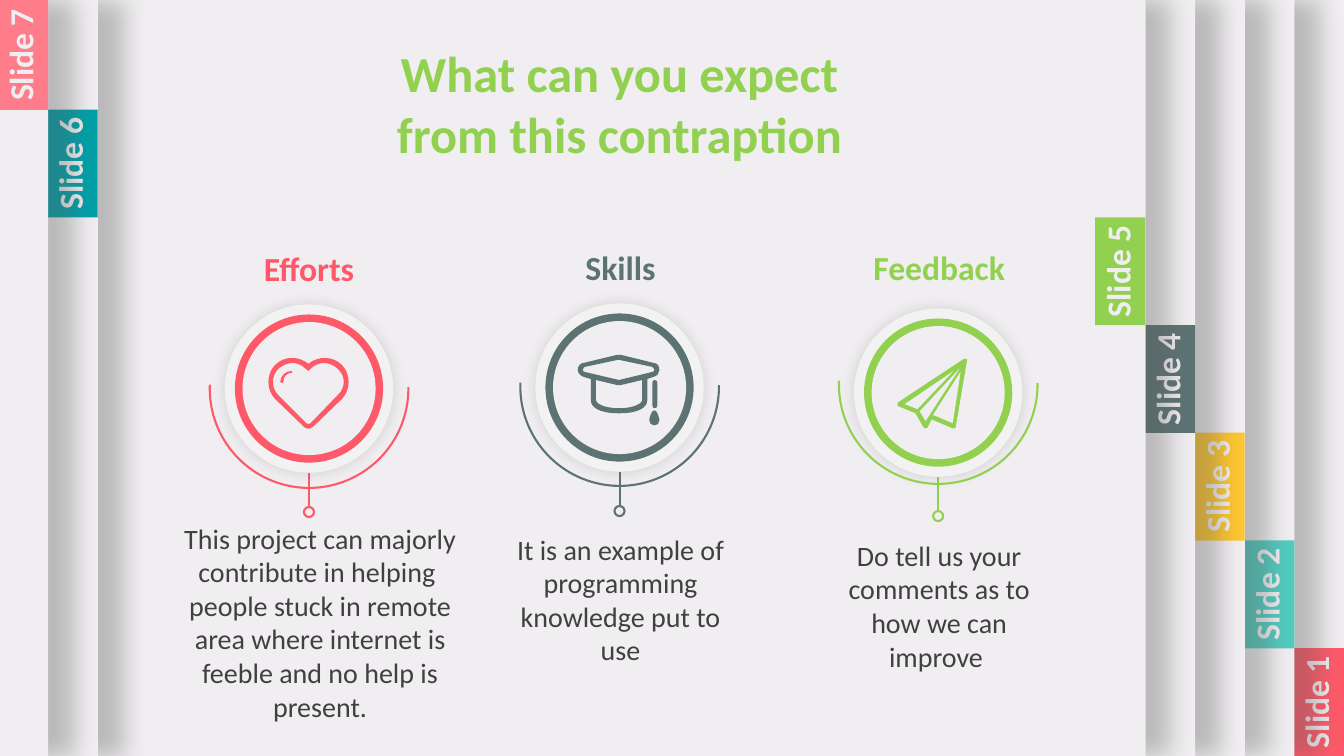
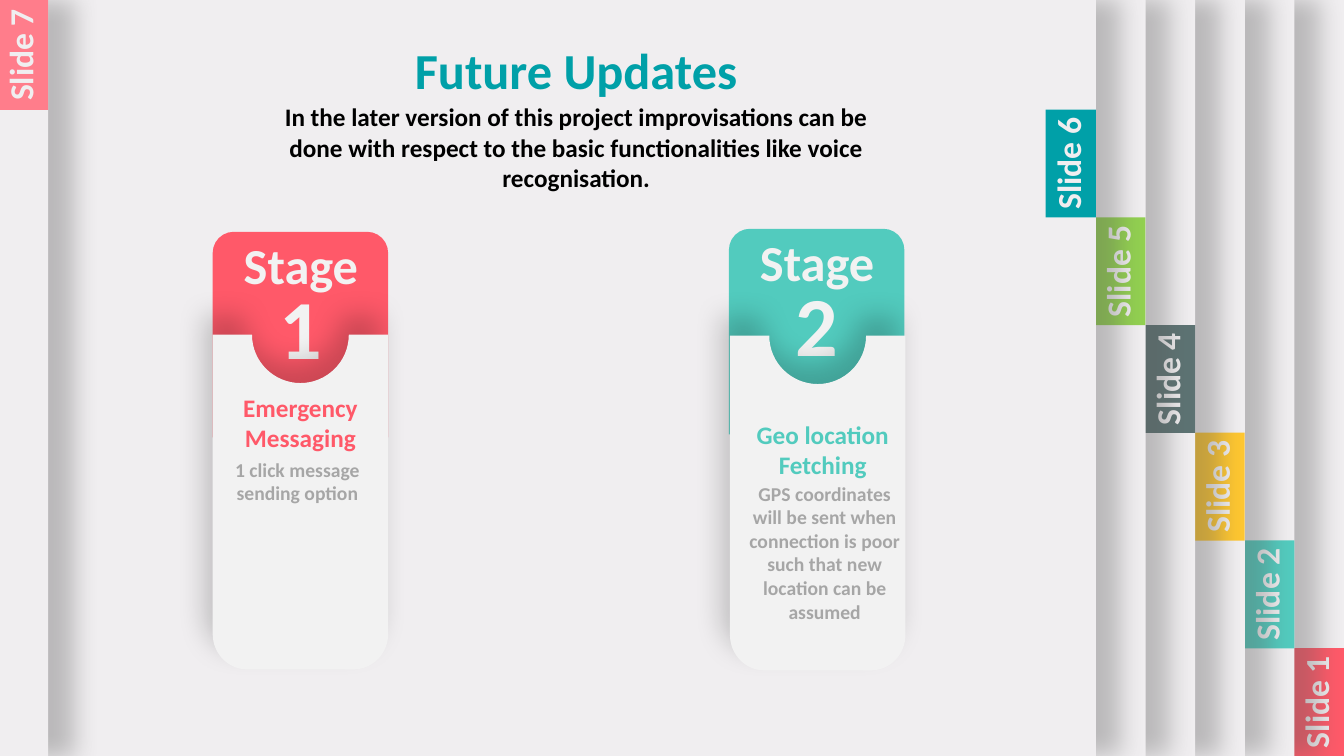
from dataclasses import dataclass

from lxml import etree
from pptx import Presentation
from pptx.dml.color import RGBColor
from pptx.enum.shapes import MSO_CONNECTOR, MSO_SHAPE
from pptx.enum.text import MSO_ANCHOR, MSO_AUTO_SIZE, PP_ALIGN
from pptx.oxml.ns import qn
from pptx.util import Inches, Pt

RECT, OVAL, ARC = MSO_SHAPE.RECTANGLE, MSO_SHAPE.OVAL, MSO_SHAPE.ARC
ROUND_TOP = MSO_SHAPE.ROUND_2_SAME_RECTANGLE
STRAIGHT = MSO_CONNECTOR.STRAIGHT
CENTER, TOP = PP_ALIGN.CENTER, MSO_ANCHOR.TOP
NO_FIT, GROW = MSO_AUTO_SIZE.NONE, MSO_AUTO_SIZE.SHAPE_TO_FIT_TEXT


@dataclass(frozen=True)
class Theme:
    font: str = "Calibri"
    paper: str = "F0EEF0"
    card: str = "F2F2F2"
    red: str = "FF5969"
    pink: str = "FF7D8B"
    mint: str = "52CBBE"
    yellow: str = "FEC630"
    slate: str = "5D7373"
    green: str = "92D050"
    teal: str = "00A0A8"
    black: str = "000000"
    shade: str = "595959"
    body: str = "404040"
    muted: str = "A6A6A6"
    number_size: int = 60
    title_size: int = 36
    heading_size: int = 24
    body_size: int = 20
    lead_size: int = 18
    note_size: int = 14
    line: float = 1.5


T = Theme()
SLIDE_W, SLIDE_H = 13.33, 7.5

# Tabs: the first ones sit at the right, the rest are turned over to the left
TAB_COLORS = [T.red, T.mint, T.yellow, T.slate, T.green, T.teal, T.pink]
TAB_W, TAB_H = 0.5, 1.07
TAB_STEP_X = (SLIDE_W - 10.87) / 5
TAB_STEP_Y = (SLIDE_H - 1.09) / 6
PANEL_W, TURNED_SHIFT = 13.65, 9.9

# Shadows: colour, opacity %, blur pt, distance pt, direction in degrees
PANEL_SHADOW = (T.shade, 35, 17, 18, 0)
DISC_SHADOW = (T.shade, 20, 10, 0, 0)
CARD_SHADOW = (T.black, 20, 20, 15, 247)

# Outlines in hundredths of an inch: M move, L line, C cubic curve, Z close
HEART = ["""
M 112 90 L 85 118 C 84 119 82 119 81 118 L 53 90 C 46 83 46 71 53 64
C 61 57 72 56 79 63 L 83 66 L 86 63 C 94 56 105 57 112 64 C 120 71 120 83 112 90 Z
M 116 60 C 107 51 92 51 83 59 C 73 51 59 51 50 60 C 41 69 41 85 50 94 L 78 121
C 80 124 85 124 88 121 L 116 94 C 125 85 125 69 116 60 Z""", """
M 66 66 C 60 66 55 71 55 77 C 55 77 56 78 57 78 C 57 78 58 77 58 77
C 58 72 61 68 66 68 C 67 68 67 68 67 67 C 67 66 67 66 66 66 Z"""]
GRADUATE_CAP = ["""
M 83 76 L 49 68 C 48 68 47 67 47 66 C 47 65 48 64 49 63 L 82 56 L 83 56
L 116 63 C 117 64 118 65 118 66 C 118 67 117 68 116 68 Z
M 106 96 C 106 99 98 104 83 104 C 68 104 60 99 60 96 L 60 76 L 81 81
C 82 81 84 81 85 81 L 106 76 Z
M 123 66 C 123 62 121 59 117 59 L 85 51 C 84 51 82 51 81 51 L 48 59
C 45 59 42 62 42 66 C 42 69 45 72 48 73 L 55 75 L 55 96 C 55 103 63 109 83 109
C 103 109 111 103 111 96 L 111 75 L 117 73 C 121 72 123 69 123 66 Z""", """
M 116 79 L 116 101 C 116 103 117 104 118 104 C 120 104 121 103 121 101
L 121 79 C 121 77 120 76 118 76 C 117 76 116 77 116 79 Z""", """
M 118 106 C 115 106 113 114 113 116 C 113 119 115 121 118 121
C 121 121 123 119 123 116 C 123 114 121 106 118 106 Z"""]
PAPER_PLANE = ["""
M 98 114 L 79 106 L 78 106 L 106 62 Z
M 65 102 L 106 58 L 71 112 Z
M 50 95 L 100 61 L 63 100 Z
M 111 50 L 109 50 L 44 93 C 43 94 43 95 43 95 C 43 96 44 97 44 97 L 61 104
L 69 118 C 70 118 70 119 71 119 C 72 119 73 118 73 118 L 77 110 L 98 119
C 99 119 100 119 100 119 C 101 118 101 118 101 117 L 112 52 C 112 51 112 50 111 50 Z"""]
CARD_BODY = """
M 0 0 L 39 0 C 39 27 61 48 87 48 C 113 48 135 27 135 0 L 174 0 L 174 297
C 174 316 159 332 140 332 L 34 332 C 15 332 0 316 0 297 Z"""

EXPECT = {
    "title": "What can you expect from this contraption",
    "title_box": (3.5, 0.37, 5.29, 1.31),
    "color": T.green,
    "turned": (6, 7),
}
PILLARS = [
    {"heading": "Efforts", "heading_box": (1.78, 2.41, 2.57, 0.5), "color": T.red,
     "disc": (2.23, 3.02), "arc_top": 2.87, "icon": HEART,
     "text": "This project can majorly contribute in helping  people stuck in remote "
             "area where internet is feeble and no help is present.",
     "text_box": (1.6, 5.12, 3.15, 2.12)},
    {"heading": "Skills", "heading_box": (4.99, 2.4, 2.33, 0.5), "color": T.slate,
     "disc": (5.31, 3.01), "arc_top": 2.85, "icon": GRADUATE_CAP,
     "text": "It is an example of programming knowledge put to use",
     "text_box": (4.89, 5.23, 2.53, 1.45)},
    {"heading": "Feedback", "heading_box": (8.23, 2.4, 2.17, 0.5), "color": T.green,
     "disc": (8.47, 3.06), "arc_top": 2.83, "icon": PAPER_PLANE,
     "text": "Do tell us your comments as to how we can improve ",
     "text_box": (8.05, 5.29, 2.53, 1.11)},
]

UPDATES = {
    "title": "Future Updates",
    "title_box": (3.07, 0.34, 5.29, 0.71),
    "color": T.teal,
    "turned": (7,),
}
LEAD = ("In the later version of this project improvisations can be done with respect "
        "to the basic functionalities like voice recognisation.")
LEAD_BOX = (2.71, 0.96, 6.01, 1.01)
STAGES = [
    {"number": "1", "color": T.red, "band": (2.11, 2.3), "body": (2.11, 3.32),
     "heading": "Emergency Messaging", "heading_box": (2.11, 3.84, 1.74, 0.71),
     "note": "1 click message sending option", "note_box": (2.08, 4.49, 1.74, 0.57)},
    {"number": "2", "color": T.mint, "band": (7.23, 2.27), "body": (7.24, 3.33),
     "heading": "Geo location Fetching", "heading_box": (7.29, 4.11, 1.74, 0.71),
     "note": "GPS coordinates will be sent when connection is poor such that new "
             "location can be assumed", "note_box": (7.31, 4.73, 1.74, 1.51)},
]


def rgb(color):
    return RGBColor.from_string(color)


def add_shadow(shape, color, opacity, blur, distance, direction):
    """Put an outer shadow into the shape's effect list."""
    effects = shape._element.spPr.find(qn("a:effectLst"))
    outer = etree.SubElement(effects, qn("a:outerShdw"), blurRad=str(Pt(blur)),
                             dist=str(Pt(distance)), dir=str(direction * 60000),
                             algn="ctr", rotWithShape="0")
    clr = etree.SubElement(outer, qn("a:srgbClr"), val=color)
    etree.SubElement(clr, qn("a:alpha"), val=str(opacity * 1000))


def paint(shape, fill=None, line=None, shadow=None):
    shape.shadow.inherit = False
    if fill:
        shape.fill.solid()
        shape.fill.fore_color.rgb = rgb(fill)
    else:
        shape.fill.background()
    if line:
        shape.line.color.rgb = rgb(line)
        shape.line.width = Pt(T.line)
    else:
        shape.line.fill.background()
    if shadow:
        add_shadow(shape, *shadow)
    return shape


def add_preset(s, kind, box, **look):
    return paint(s.shapes.add_shape(kind, *map(Inches, box)), **look)


def bend(shape, curve_starts):
    """Turn each run of three line segments listed into one cubic curve."""
    outline = next(shape._element.iter(qn("a:path")))
    lines = outline.findall(qn("a:lnTo"))
    for start in curve_starts:
        curve = etree.Element(qn("a:cubicBezTo"))
        lines[start].addprevious(curve)
        for line in lines[start:start + 3]:
            curve.append(line[0])
            outline.remove(line)


def add_outline(s, outline, origin, **look):
    """Draw an outline text (M, L, C, Z) as one freeform placed at origin."""
    builder, curve_starts, line_count = None, [], 0
    for contour in outline.strip().rstrip("Z").split("Z"):
        points = []
        for command in contour.replace("L", "|L").replace("C", "|C").split("|"):
            letter, *numbers = command.split()
            if letter == "C":
                curve_starts.append(line_count + len(points) - 1)
            values = [Inches(int(n) / 100) for n in numbers]
            points += zip(values[::2], values[1::2])
        first, *rest = points
        if builder is None:
            builder = s.shapes.build_freeform(*first)
        else:
            builder.move_to(*first)
        builder.add_line_segments(rest, close=True)
        line_count += len(rest)
    shape = builder.convert_to_shape(*map(Inches, origin))
    bend(shape, curve_starts)
    return paint(shape, **look)


def write(tf, text, size, color, bold=True):
    tf.word_wrap = True
    tf.text = text
    p = tf.paragraphs[0]
    p.alignment = CENTER
    p.font.name, p.font.size, p.font.bold = T.font, Pt(size), bold
    p.font.color.rgb = rgb(color)


def add_text(s, box, text, size, color, bold=True):
    tb = s.shapes.add_textbox(*map(Inches, box))
    tb.text_frame.auto_size = GROW
    write(tb.text_frame, text, size, color, bold)
    return tb


def add_tab(s, number, turned):
    """A full-height panel with its numbered tab on the right edge."""
    right = SLIDE_W - TAB_STEP_X * (number - 1) - (TURNED_SHIFT if turned else 0)
    bottom = SLIDE_H - TAB_STEP_Y * (number - 1)
    top = 0 if number == len(TAB_COLORS) else bottom - TAB_H
    add_preset(s, RECT, (right - PANEL_W, 0, PANEL_W, SLIDE_H),
               fill=T.paper, shadow=PANEL_SHADOW)
    add_preset(s, RECT, (right - TAB_W, top, TAB_W, bottom - top),
               fill=TAB_COLORS[number - 1])
    label_w, label_h = 1.19, 0.5
    label_box = (right - (TAB_W + label_w) / 2 - 0.03,
                 (top + bottom - label_h) / 2, label_w, label_h)
    add_text(s, label_box, f"Slide {number}", T.heading_size, T.paper).rotation = 270


def start_slide(prs, page):
    s = prs.slides.add_slide(prs.slide_layouts[5])
    for number in range(1, len(TAB_COLORS) + 1):
        add_tab(s, number, number in page["turned"])
    title = s.shapes.title
    title.left, title.top, title.width, title.height = map(Inches, page["title_box"])
    tf = title.text_frame
    tf.auto_size, tf.vertical_anchor = NO_FIT, TOP
    write(tf, page["title"], T.title_size, page["color"])
    s.shapes._spTree.append(title._element)  # bring in front of the panels
    return s


def add_pillar(s, pillar):
    x, y = pillar["disc"]
    color = pillar["color"]
    disc, ring, hole, arc_size, dot_size = 1.67, 1.47, 1.32, 1.97, 0.1
    middle, dot_top = x + disc / 2, y + 2.01
    add_text(s, pillar["heading_box"], pillar["heading"], T.heading_size, color)
    dot = add_preset(s, OVAL, (middle - dot_size / 2, dot_top, dot_size, dot_size), line=color)
    stem = s.shapes.add_connector(STRAIGHT, Inches(middle), Inches(y + disc),
                                  Inches(middle), Inches(dot_top))
    stem.end_connect(dot, 0)
    stem.line.color.rgb = rgb(color)
    stem.line.width = Pt(T.line)
    etree.SubElement(stem._element.spPr, qn("a:effectLst"))
    for size, fill, shadow in ((disc, T.card, DISC_SHADOW), (ring, color, None),
                               (hole, T.paper, None)):
        inset = (disc - size) / 2
        add_preset(s, OVAL, (x + inset, y + inset, size, size), fill=fill, shadow=shadow)
    arc = add_preset(s, ARC, (middle - arc_size / 2, pillar["arc_top"], arc_size, arc_size),
                     line=color)
    arc.rotation = 135
    arc.adjustments[0], arc.adjustments[1] = 134.52, 28.37
    for outline in pillar["icon"]:
        add_outline(s, outline, (x, y), fill=color)
    add_text(s, pillar["text_box"], pillar["text"], T.body_size, T.body, bold=False)


def add_stage(s, stage):
    x, y = stage["band"]
    band = add_preset(s, ROUND_TOP, (x, y, 1.74, 2.04), fill=stage["color"])
    band.adjustments[0], band.adjustments[1] = 0.12, 0
    add_text(s, (x - 0.11, y - 0.03, 1.97, 0.71), "Stage", T.title_size, T.card)
    add_text(s, (x + 0.38, y + 0.38, 0.98, 1.11), stage["number"], T.number_size, T.card)
    add_outline(s, CARD_BODY, stage["body"], fill=T.card, shadow=CARD_SHADOW)
    add_text(s, stage["heading_box"], stage["heading"], T.lead_size, stage["color"])
    add_text(s, stage["note_box"], stage["note"], T.note_size, T.muted)


def main():
    prs = Presentation()
    prs.slide_width, prs.slide_height = Inches(SLIDE_W), Inches(SLIDE_H)
    background = prs.slide_master.background.fill
    background.solid()
    background.fore_color.rgb = rgb(T.paper)

    s = start_slide(prs, EXPECT)
    for pillar in PILLARS:
        add_pillar(s, pillar)

    s = start_slide(prs, UPDATES)
    add_text(s, LEAD_BOX, LEAD, T.lead_size, T.black)
    for stage in STAGES:
        add_stage(s, stage)

    prs.save("out.pptx")


if __name__ == "__main__":
    main()
